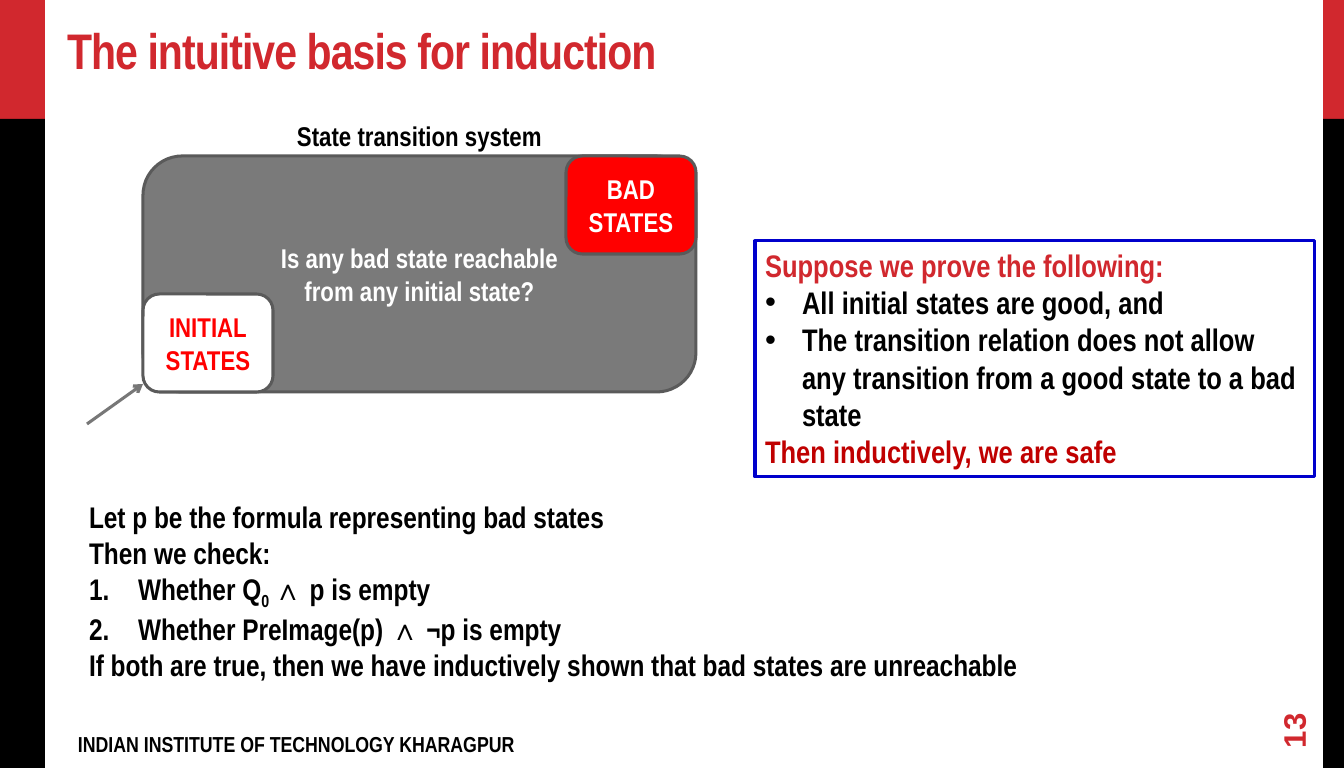
from lxml.etree import SubElement
from pptx import Presentation
from pptx.dml.color import RGBColor
from pptx.enum.shapes import MSO_CONNECTOR, MSO_SHAPE
from pptx.enum.text import MSO_ANCHOR, MSO_AUTO_SIZE, PP_ALIGN
from pptx.oxml.ns import qn
from pptx.util import Emu, Pt

# Content
RED, BLACK, WHITE, GREY = "D1282E", "000000", "FFFFFF", "5A5A5A"
TITLE = "The intuitive basis for induction"
FOOTER = "INDIAN INSTITUTE OF TECHNOLOGY KHARAGPUR"
NUMBER = "13"
CAPTION = "State transition system"
# Each line: text, colour, list kind
PROOF = [
    ("Suppose we prove the following:", RED, None),
    ("All initial states are good, and", BLACK, "dot"),
    ("The transition relation does not allow any transition from a good "
     "state to a bad state", BLACK, "dot"),
    ("Then inductively, we are safe", "C00000", None),
]
# A tuple holds text before, in and after a subscript
CHECKS = [
    ("Let p be the formula representing bad states", BLACK, None),
    ("Then we check:", BLACK, None),
    (("Whether Q", "0 ", "∧ p is empty"), BLACK, "num"),
    ("Whether PreImage(p) ∧ ¬p is empty", BLACK, "num"),
    ("If both are true, then we have inductively shown that bad states "
     "are unreachable", BLACK, None),
]
# Side bars: left, width
BARS = [(1323, 21), (0, 45)]
BAR_TOP, BAR_END = 119, 768
# State system: left, top, width, height
SYSTEM = (143, 156, 553, 236)
STATE_W, STATE_H = 130, 98

PX = 914400 / 97.5


def px(n):
    return Emu(round(n * PX))


def rgb(code):
    return RGBColor.from_string(code)


deck = Presentation()
deck.slide_width, deck.slide_height = px(1344), px(768)
slide = deck.slides.add_slide(deck.slide_layouts[5])
shapes = slide.shapes


def place(item, left, top, wide, high):
    item.left, item.top = px(left), px(top)
    item.width, item.height = px(wide), px(high)


def block(kind, spot, fill=None, line=None):
    item = shapes.add_shape(kind, *map(px, spot))
    item.shadow.inherit = False
    if fill:
        item.fill.solid()
        item.fill.fore_color.rgb = rgb(fill)
    else:
        item.fill.background()
    if line:
        item.line.color.rgb = rgb(line)
        item.line.width = Pt(2.25)
    else:
        item.line.fill.background()
    return item


def mark(para, kind):
    props = para._p.get_or_add_pPr()
    indent = px(37 if kind == "dot" else 49)
    props.set("marL", str(indent))
    props.set("indent", str(-indent))
    if kind == "dot":
        SubElement(props, qn("a:buFont"), typeface="Arial")
        SubElement(props, qn("a:buChar"), char="•")
    else:
        SubElement(props, qn("a:buAutoNum"), type="arabicPeriod")


def write(item, lines, size, face="Arial Narrow", align=PP_ALIGN.LEFT,
          anchor=MSO_ANCHOR.TOP, wrap=True, grow=False, inset=(10, 5)):
    frame = item.text_frame
    frame.word_wrap = wrap
    frame.auto_size = (MSO_AUTO_SIZE.SHAPE_TO_FIT_TEXT if grow
                       else MSO_AUTO_SIZE.NONE)
    frame.vertical_anchor = anchor
    frame.margin_left = frame.margin_right = px(inset[0])
    frame.margin_top = frame.margin_bottom = px(inset[1])
    for i, (text, color, kind) in enumerate(lines):
        para = frame.add_paragraph() if i else frame.paragraphs[0]
        para.alignment = align
        if kind:
            mark(para, kind)
        font = para.font
        font.name, font.size, font.bold = face, Pt(size), True
        font.color.rgb = rgb(color)
        parts = (text,) if isinstance(text, str) else text
        for j, part in enumerate(parts):
            run = para.add_run()
            run.text = part
            if j == 1:
                run.font._element.set("baseline", "-25000")


def label(spot, lines, size, **style):
    item = shapes.add_textbox(*map(px, spot))
    write(item, lines, size, **style)
    return item


def state(spot, words, fill, color):
    item = block(MSO_SHAPE.ROUNDED_RECTANGLE, spot, fill, GREY)
    write(item, [(word, color, None) for word in words], 20,
          align=PP_ALIGN.CENTER, anchor=MSO_ANCHOR.MIDDLE)


# Side bars
for left, wide in BARS:
    block(MSO_SHAPE.RECTANGLE, (left, 0, wide, BAR_TOP), RED)
    block(MSO_SHAPE.RECTANGLE, (left, BAR_TOP, wide, BAR_END - BAR_TOP), BLACK)

# Title, footer and slide number
title = shapes.title
place(title, 56, 18, 1254, 68)
write(title, [(TITLE, RED, None)], 36.9, anchor=MSO_ANCHOR.BOTTOM,
      inset=(11, 6))
title.text_frame.paragraphs[0].runs[0].font._element.set("spc", "-70")
label((67, 725, 817, 33), [(FOOTER, BLACK, None)], 16, inset=(11, 6))
number = label((1254, 703, 79, 33), [(NUMBER, RED, None)], 23, face="Arial",
               anchor=MSO_ANCHOR.MIDDLE, inset=(11, 6))
number.rotation = 270

# State system with its corner states
left, top, wide, high = SYSTEM
state(SYSTEM, ["Is any bad state reachable", "from any initial state?"],
      "7A7A7A", WHITE)
state((left, top + high - STATE_H, STATE_W, STATE_H), ["INITIAL", "STATES"],
      WHITE, "FF0000")
state((left + wide - STATE_W, top, STATE_W, STATE_H), ["BAD", "STATES"],
      "FF0000", WHITE)
label((287, 114, 266, 43), [(CAPTION, BLACK, None)], 20, wrap=False, grow=True)

# Entry arrow
arrow = shapes.add_connector(MSO_CONNECTOR.STRAIGHT,
                             *map(px, (87, 424, left, 384)))
arrow.line.color.rgb = rgb("777777")
arrow.line.width = Pt(2.25)
SubElement(arrow.line._get_or_add_ln(), qn("a:tailEnd"), type="arrow")
SubElement(arrow._element.spPr, qn("a:effectLst"))

# Proof box and checks
proof = block(MSO_SHAPE.RECTANGLE, (755, 241, 560, 236), line="0000CC")
write(proof, PROOF, 23, grow=True)
label((79, 494, 956, 190), CHECKS, 22, wrap=False, grow=True)

deck.save("out.pptx")
